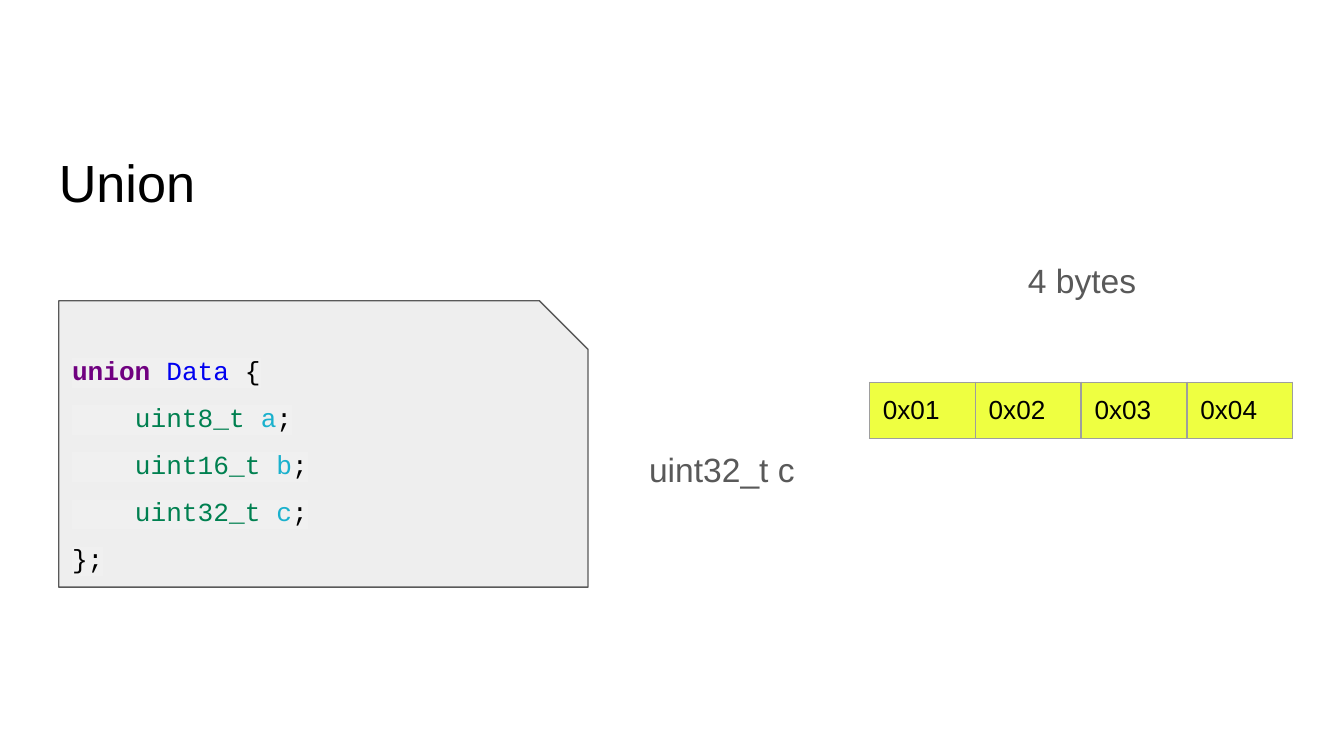
from copy import deepcopy
from lxml.etree import SubElement
from pptx import Presentation
from pptx.dml.color import RGBColor as RGB
from pptx.enum.shapes import MSO_SHAPE as SHAPE
from pptx.enum.text import MSO_ANCHOR as ANCHOR, PP_ALIGN as ALIGN
from pptx.oxml.ns import qn
from pptx.util import Emu, Pt

# Content
TITLE = "Union"
CODE = [
    [("union", "keyword"), (" ", "black"), ("Data", "name"), (" {", "black")],
    *[[("    ", "black"), (kind, "type"), (" ", "black"), (var, "var"), (";", "black")]
      for kind, var in [("uint8_t", "a"), ("uint16_t", "b"), ("uint32_t", "c")]],
    [("};", "black")],
]
BYTES = ["0x01", "0x02", "0x03", "0x04"]
LABELS = [  # text, box, first-line indent
    ("uint32_t c", (757, 519, 242, 37), 0),
    ("4 bytes", (1128, 293, 408, 66), 80),
]
COLORS = {
    "black": "000000", "gray": "595959", "panel": "EEEEEE", "highlight": "F0F0F0",
    "keyword": "700080", "name": "0000F0", "type": "008050", "var": "1AB1CD",
    "byte": "EEFF41", "border": "9E9E9E",
}
PX = 5715  # 160 px to the inch
INSET = 16


def px(*values):
    return [Emu(v * PX) for v in values]


def color(name):
    return RGB.from_string(COLORS[name])


def set_frame(tf, anchor=ANCHOR.TOP):
    inset = Emu(INSET * PX)
    values = {"word_wrap": True, "vertical_anchor": anchor, "margin_left": inset,
              "margin_top": inset, "margin_right": inset, "margin_bottom": inset}
    for key, value in values.items():
        setattr(tf, key, value)


def add_run(p, text, size, ink="black", font="Arial", bold=False, highlight=None):
    p.alignment = ALIGN.LEFT
    r = p.add_run()
    r.text = text
    r.font.color.rgb = color(ink)
    if highlight:
        mark = SubElement(r.font._element, qn("a:highlight"))
        SubElement(mark, qn("a:srgbClr"), val=COLORS[highlight])
    for key, value in {"size": Pt(size), "name": font, "bold": bold}.items():
        setattr(r.font, key, value)
    return r


prs = Presentation()
prs.slide_width, prs.slide_height = px(1600, 900)
s = prs.slides.add_slide(prs.slide_layouts[5])

# Title
title = s.shapes.title
title.left, title.top, title.width, title.height = px(54, 131, 1491, 139)
set_frame(title.text_frame, ANCHOR.BOTTOM)
add_run(title.text_frame.paragraphs[0], TITLE, 28)

# Code panel: one paragraph, its lines parted by breaks
panel = s.shapes.add_shape(SHAPE.SNIP_1_RECTANGLE, *px(70, 358, 630, 341))
panel.adjustments[0] = 0.17
panel.shadow.inherit = False
panel.fill.solid()
panel.fill.fore_color.rgb = color("panel")
panel.line.color.rgb = color("gray")
panel.line.width = Pt(0.75)
set_frame(panel.text_frame)
p = panel.text_frame.paragraphs[0]
p.line_spacing = 1.5
for i, line in enumerate(CODE):
    if i:
        p.add_line_break()
        p._p[-1].append(deepcopy(r.font._element))
    for text, ink in line:
        r = add_run(p, text, 14, ink, "Courier New", ink == "keyword", "highlight")

# Byte table
CELL_W, CELL_H, FRAME = 126, 67, 525
frame = s.shapes.add_table(1, len(BYTES), *px(1035, 455, CELL_W * len(BYTES), CELL_H))
frame.width, frame.height = px(FRAME, FRAME)
table = frame.table
table.first_row = table.horz_banding = False
for cell, text in zip(table.iter_cells(), BYTES):
    tcPr = cell._tc.get_or_add_tcPr()
    for side in ("lnL", "lnR", "lnT", "lnB"):
        ln = SubElement(tcPr, qn(f"a:{side}"), w=str(Pt(0.75)))
        SubElement(SubElement(ln, qn("a:solidFill")), qn("a:srgbClr"), val=COLORS["border"])
    cell.fill.solid()
    cell.fill.fore_color.rgb = color("byte")
    for side in ("left", "top", "right", "bottom"):
        setattr(cell, f"margin_{side}", Emu(INSET * PX))
    add_run(cell.text_frame.paragraphs[0], text, 14)

# Labels
for text, box, indent in LABELS:
    tf = s.shapes.add_textbox(*px(*box)).text_frame
    set_frame(tf)
    p = tf.paragraphs[0]
    add_run(p, text, 18, "gray")
    if indent:
        pPr = p._p.get_or_add_pPr()
        pPr.set("marL", "0")
        pPr.set("indent", str(indent * PX))

prs.save("out.pptx")
